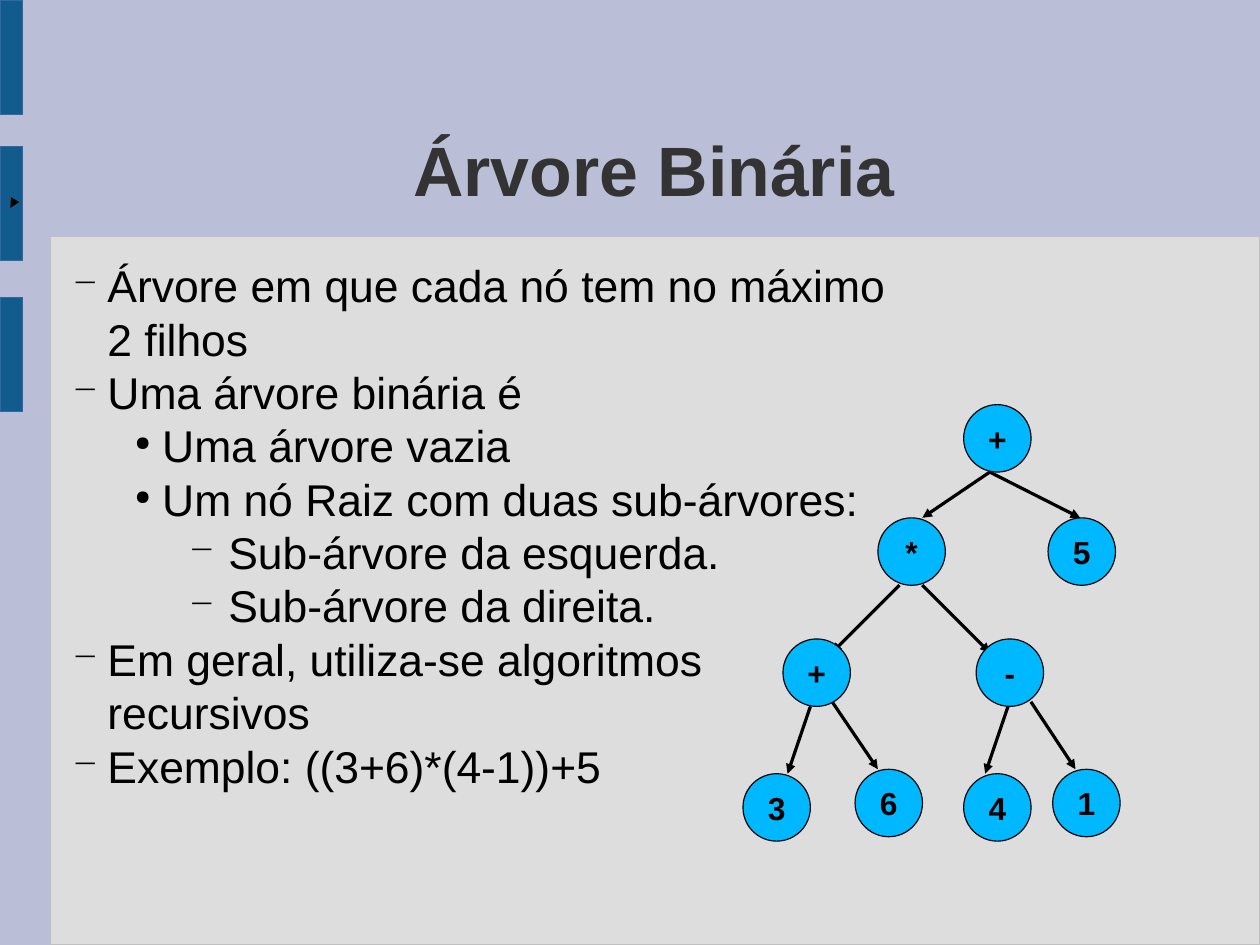
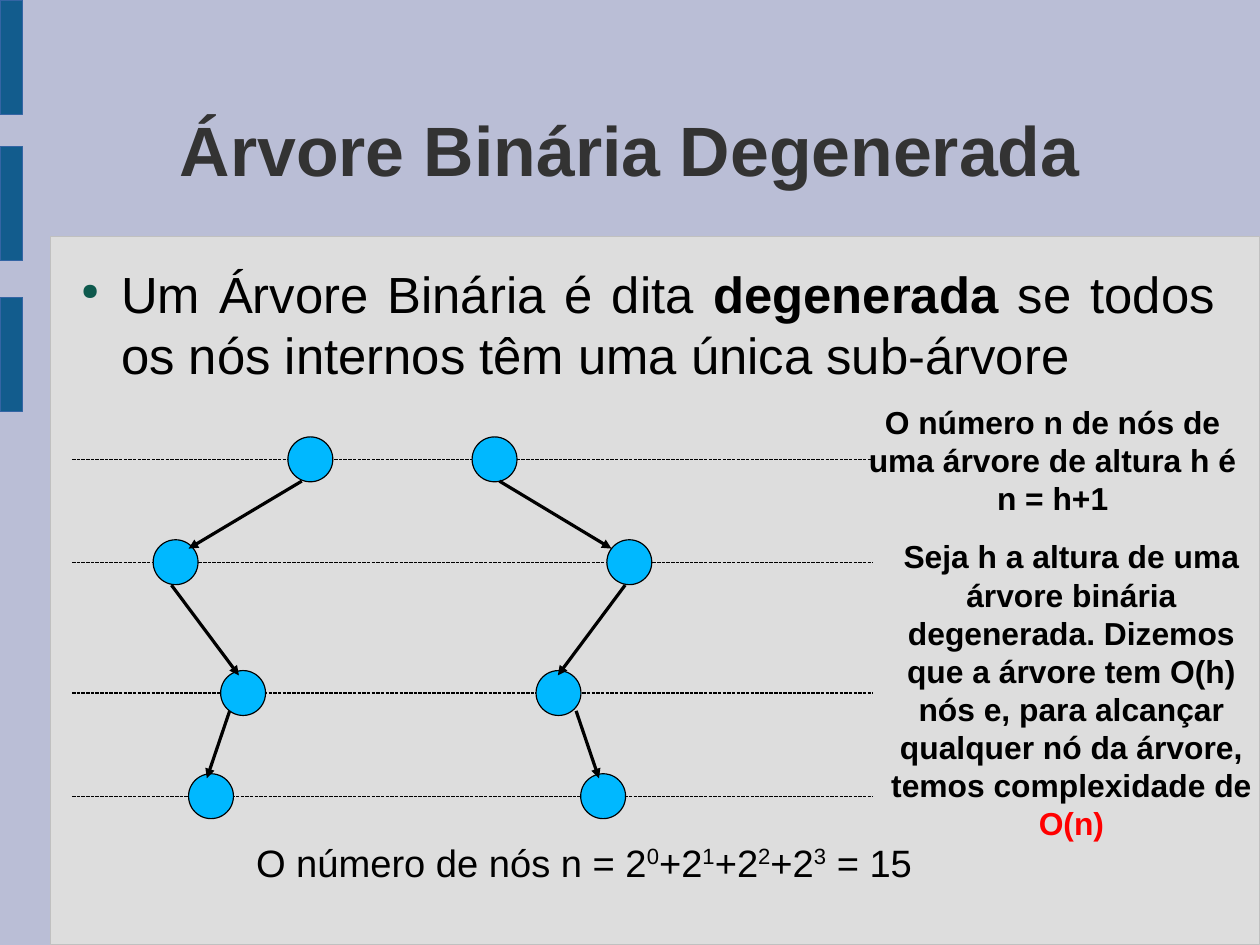
"""Builds two slides on binary trees and degenerate binary trees."""
from lxml import etree
from pptx import Presentation
from pptx import util as u
from pptx.dml import color
from pptx.enum import dml, shapes, text
from pptx.oxml import ns

FONT = "Arial"
BLACK = "000000"
NODE_BLUE = "00B8FF"
LEFT, CENTER, JUSTIFY = text.PP_ALIGN.LEFT, text.PP_ALIGN.CENTER, text.PP_ALIGN.JUSTIFY
RECTANGLE, OVAL = shapes.MSO_SHAPE.RECTANGLE, shapes.MSO_SHAPE.OVAL
rgb = color.RGBColor.from_string


def add_box(slide, box, paragraphs=(), kind=None, fill=None, line=None, size=20, bold=False,
            font_color=BLACK, align=CENTER, middle=False, bullets=()):
    """Add a text box, or a filled shape of the given kind, with formatted runs."""
    position = [u.Pt(value) for value in box]
    if kind is None:
        shape = slide.shapes.add_textbox(*position)
    else:
        shape = slide.shapes.add_shape(kind, *position)
        shape.shadow.inherit = False
        shape.fill.solid()
        shape.fill.fore_color.rgb = rgb(fill)
        shape.line.color.rgb = rgb(line)
        shape.line.width = u.Pt(0)
    frame = shape.text_frame
    frame.word_wrap = True
    frame.margin_left = frame.margin_top = frame.margin_right = frame.margin_bottom = u.Pt(0)
    frame.vertical_anchor = text.MSO_ANCHOR.MIDDLE if middle else text.MSO_ANCHOR.TOP
    for index, runs in enumerate(paragraphs):
        paragraph = frame.add_paragraph() if index else frame.paragraphs[0]
        paragraph.alignment = align
        for content, changes in [(runs, {})] if isinstance(runs, str) else runs:
            run = paragraph.add_run()
            run.text = content
            run.font.name = FONT
            run.font.size = u.Pt(size)
            run.font.bold = changes.get("bold", bold)
            run.font.color.rgb = rgb(changes.get("color", font_color))
            if changes.get("superscript"):
                run.font._element.set("baseline", "33000")
        if bullets:
            character, percent, bullet_color, margin, hanging = bullets[index]
            properties = paragraph._p.get_or_add_pPr()
            properties.set("marL", str(u.Pt(margin)))
            properties.set("indent", str(-u.Pt(hanging)))
            holder = etree.SubElement(properties, ns.qn("a:buClr"))
            etree.SubElement(holder, ns.qn("a:srgbClr"), val=bullet_color)
            etree.SubElement(properties, ns.qn("a:buSzPct"), val=str(percent * 1000))
            etree.SubElement(properties, ns.qn("a:buChar"), char=character)
    return shape


def add_line(slide, ends, arrow=True):
    """Add a thin arrow, or a dashed line when arrow is False."""
    connector = slide.shapes.add_connector(
        shapes.MSO_CONNECTOR.STRAIGHT, *[u.Pt(value) for value in ends])
    connector.line.color.rgb = rgb(BLACK)
    connector.line.width = u.Pt(0 if arrow else 0.75)
    if arrow:
        etree.SubElement(connector.line._get_or_add_ln(), ns.qn("a:tailEnd"), type="triangle")
    else:
        connector.line.dash_style = dml.MSO_LINE.SQUARE_DOT
    etree.SubElement(connector._element.spPr, ns.qn("a:effectLst"))


presentation = Presentation()
presentation.slide_width = u.Pt(793.7)
presentation.slide_height = u.Pt(595.3)
background = presentation.slide_master.background.fill
background.solid()
background.fore_color.rgb = rgb("BABED6")

slides = []
for title, left, top in [("Árvore Binária", 73.4, 56.2),
                         ("Árvore Binária Degenerada", 58.3, 43.9)]:
    slide = presentation.slides.add_slide(presentation.slide_layouts[6])
    add_box(slide, (31.7, 149, 762, 446.3), kind=RECTANGLE, fill="DDDDDD", line="C0C0C0")
    for bar_top in (0, 92.2, 187.2):
        add_box(slide, (0, bar_top, 14.4, 72), kind=RECTANGLE, fill="125C8D", line="3465A4")
    add_box(slide, (left, top, 677.5, 99.4), [title], size=44, bold=True,
            font_color="333333", middle=True)
    slides.append(slide)
binary, degenerate = slides

levels = {
    1: ("−", 75, BLACK, 67.7, 22.3),
    2: ("●", 45, BLACK, 102.2, 17.3),
    3: ("−", 75, BLACK, 143.9, 25.1),
}
outline = [
    (1, "Árvore em que cada nó tem no máximo 2 filhos"),
    (1, "Uma árvore binária é"),
    (2, "Uma árvore vazia"),
    (2, "Um nó Raiz com duas sub-árvores:"),
    (3, "Sub-árvore da esquerda."),
    (3, "Sub-árvore da direita."),
    (1, "Em geral, utiliza-se algoritmos recursivos"),
    (1, "Exemplo: ((3+6)*(4-1))+5"),
]
add_box(binary, (0, 162.7, 575.3, 312.5), [line for level, line in outline], size=28,
        align=LEFT, bullets=[levels[level] for level, line in outline])

expression_arrows = [
    (8.6, 127.4, 6.5, 131),
    (623.5, 297.4, 581, 326.2), (623.5, 297.4, 680.4, 326.2),
    (566.6, 368.6, 524.2, 411.1), (581, 368.6, 623.5, 411.1),
    (510.5, 445, 496.1, 487.4), (524.2, 442.1, 553, 484.6),
    (635, 445, 620.6, 487.4), (649.4, 442.1, 677.5, 484.6),
]
for ends in expression_arrows:
    add_line(binary, ends)

expression_nodes = [
    ("+", 607, 254.9), ("*", 553, 326.2), ("5", 660.2, 326.2),
    ("+", 493.2, 402.5), ("-", 614.9, 402.5),
    ("3", 468, 487.4), ("6", 538.6, 484.6), ("4", 607, 487.4), ("1", 663.1, 484.6),
]
for label, left, top in expression_nodes:
    add_box(binary, (left, top, 42.5, 42.5), [label], kind=OVAL, fill=NODE_BLUE, line=BLACK,
            bold=True, middle=True)

definition = [("Um Árvore Binária é dita ", {}), ("degenerada", {"bold": True}),
              (" se todos os nós internos têm uma única sub-árvore", {})]
add_box(degenerate, (42.5, 165.6, 722.9, 103.7), [definition], size=32, align=JUSTIFY,
        bullets=[("●", 45, "0E594D", 33.8, 25.2)])

rows = [(289.4, (181.4, 297.4)), (354.2, (96.5, 382.3)),
        (436.6, (139, 337.7)), (501.6, (118.8, 365.8))]
for middle, lefts in rows:
    add_line(degenerate, (45.4, middle, 550.1, middle), arrow=False)

power_sum = [("O número de nós n = 2", {})]
for exponent, following in zip("0123", ["+2", "+2", "+2", " = 15"]):
    power_sum += [(exponent, {"superscript": True}), (following, {})]
add_box(degenerate, (161.3, 528.5, 419.8, 28.1), [power_sum], size=24, align=LEFT)
add_box(degenerate, (535.7, 253.4, 254.9, 68.4),
        ["O número n de nós de uma árvore de altura h é", "n = h+1"], bold=True)
complexity = [("Seja h a altura de uma árvore binária degenerada. Dizemos que a árvore tem O(h) "
               "nós e, para alcançar qualquer nó da árvore, temos complexidade de ", {}),
              ("O(n)", {"color": "FF0000"})]
add_box(degenerate, (555.8, 338.4, 238.3, 182.2), [complexity], bold=True)

diameter = 28.3
for middle, lefts in rows:
    for left in lefts:
        add_box(degenerate, (left, middle - diameter / 2, diameter, diameter), kind=OVAL,
                fill=NODE_BLUE, line=BLACK)

degenerate_arrows = [
    (190.1, 303.1, 118.8, 345.6), (108, 368.6, 150.5, 425.5), (144.7, 447.8, 130.3, 490.3),
    (314.6, 303.1, 385.2, 345.6), (393.8, 368.6, 351.4, 425.5), (362.9, 447.8, 377.3, 490.3),
]
for ends in degenerate_arrows:
    add_line(degenerate, ends)

presentation.save("out.pptx")
